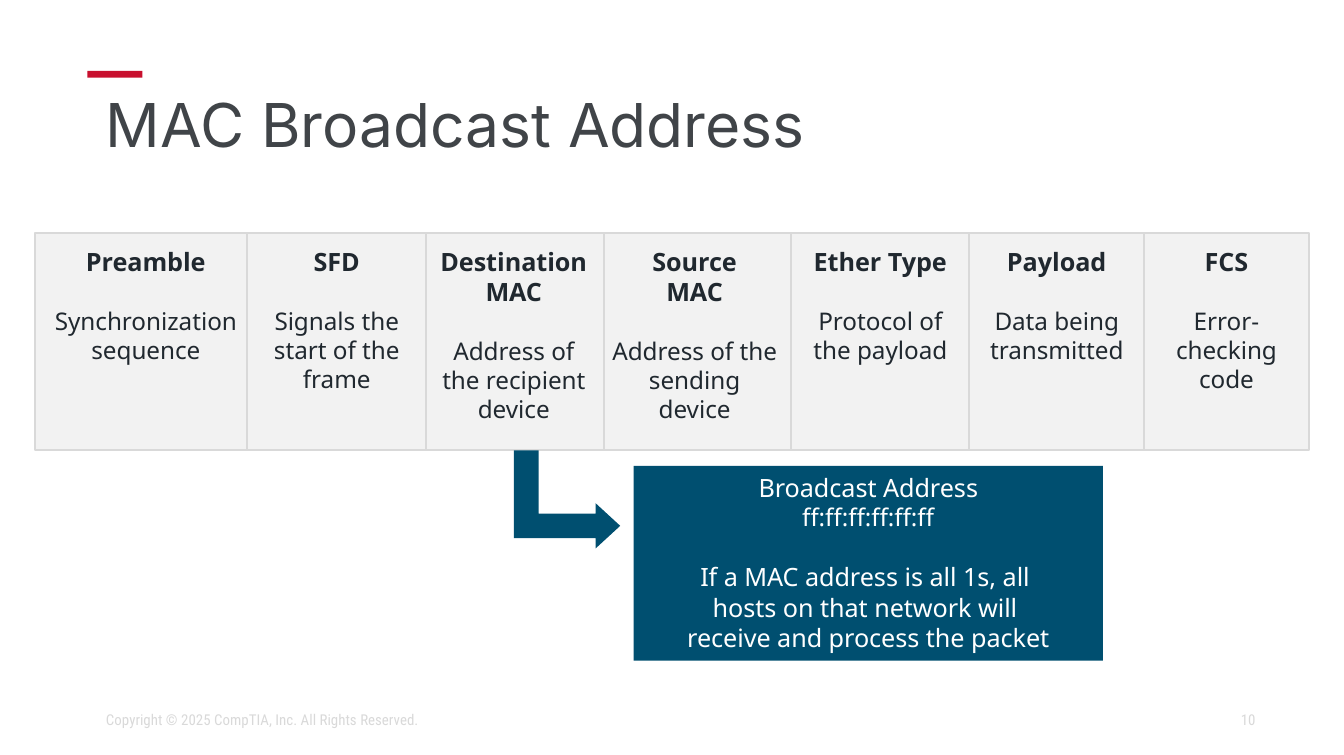
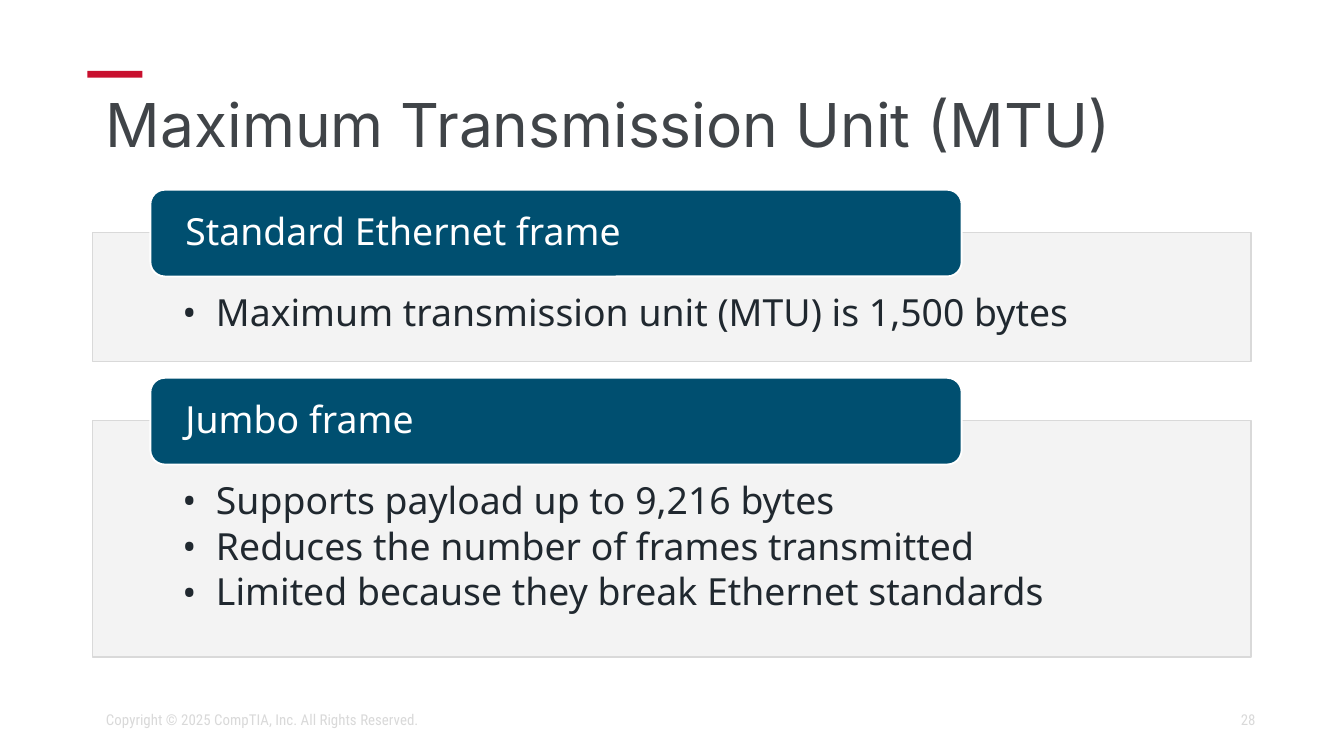
import pptx
import pptx.util
import pptx.dml.color
import pptx.enum.shapes
import pptx.enum.text
from dataclasses import dataclass
from lxml import etree

Pt = pptx.util.Pt
SHAPE = pptx.enum.shapes.MSO_SHAPE
ALIGN = pptx.enum.text.PP_ALIGN
ANCHOR = pptx.enum.text.MSO_ANCHOR


@dataclass(frozen=True)
class Theme:
    red: str = "C8102E"
    title: str = "404448"
    footer: str = "D9D9D9"
    border: str = "D9D9D9"
    panel: str = "F2F2F2"
    ink: str = "20282F"
    blue: str = "004F70"
    white: str = "FFFFFF"
    title_font: str = "Inter"
    body_font: str = "Noto Sans"
    footer_font: str = "Roboto Condensed"
    bullet_font: str = "Noto Sans"
    title_size: float = 32.4
    list_size: float = 20
    label_size: float = 13.5
    detail_size: float = 13
    footer_size: float = 8


THEME = Theme()
SLIDE_WIDTH, SLIDE_HEIGHT = 720, 404.64
COPYRIGHT = "Copyright © 2025 CompTIA, Inc. All Rights Reserved."
MARGIN, CONTENT_WIDTH = 49.7, 620.6
CONTENT_TOP = 124.7
FIELD_HEIGHT = 116.5
FRAME_GAP = 16

FRAME_FIELDS = [
    (18.7, 118.8, ["Preamble"], "Synchronization sequence"),
    (320.6, 103, ["Source", "MAC"], "Address of the sending device"),
    (227, 96.5, ["Destination MAC"], "Address of the recipient device"),
    (132.5, 95.8, ["SFD"], "Signals the start of the frame"),
    (423.7, 95.8, ["Ether Type"], "Protocol of the payload"),
    (519.3, 93.6, ["Payload"], "Data being transmitted"),
    (612.7, 88.6, ["FCS"], "Error-checking code"),
]
BROADCAST_LINES = [
    ("Broadcast Address", THEME.label_size, 0),
    ("ff:ff:ff:ff:ff:ff", THEME.detail_size, 0),
    ("If a MAC address is all 1s, all \nhosts on that network will \nreceive and process the packet",
     THEME.label_size, FRAME_GAP),
]
FRAME_TYPES = [
    ("Standard Ethernet frame", 69.1, ["Maximum transmission unit (MTU) is 1,500 bytes"]),
    ("Jumbo frame", 126.7, [
        "Supports payload up to 9,216 bytes",
        "Reduces the number of frames transmitted",
        "Limited because they break Ethernet standards",
    ]),
]
PANEL_GAP, TAB_RISE = 31.7, 23


def rgb(value):
    return pptx.dml.color.RGBColor.from_string(value)


def add_box(page, kind, place, fill, line=None, line_width=1):
    box = page.shapes.add_shape(kind, *map(Pt, place))
    box.shadow.inherit = False
    box.fill.solid()
    box.fill.fore_color.rgb = rgb(fill)
    if line:
        box.line.color.rgb = rgb(line)
        box.line.width = Pt(line_width)
    else:
        box.line.fill.background()
    return box


def set_frame(box, anchor, insets=(7.2, 3.6, 7.2, 3.6)):
    frame = box.text_frame
    frame.word_wrap = True
    frame.vertical_anchor = anchor
    frame.margin_left, frame.margin_top, frame.margin_right, frame.margin_bottom = map(Pt, insets)


def add_bullet(para):
    properties = para._p.get_or_add_pPr()
    properties.set("marL", str(Pt(18)))
    properties.set("indent", str(-Pt(18)))
    for tag, name, value in [("a:buFont", "typeface", THEME.bullet_font), ("a:buChar", "char", "•")]:
        etree.SubElement(properties, pptx.oxml.ns.qn(tag)).set(name, value)


def write(box, text, size, color, font=THEME.body_font, align=ALIGN.LEFT,
          spacing=1.0, before=0, after=0, bold=False, bullet=False):
    frame = box.text_frame
    para = frame.add_paragraph() if frame.text else frame.paragraphs[0]
    if bullet:
        add_bullet(para)
    para.text = text.replace("\n", "\v")
    para.alignment = align
    para.line_spacing = spacing
    para.space_before = Pt(before)
    para.space_after = Pt(after)
    para.font.size = Pt(size)
    para.font.name = font
    para.font.bold = bold
    para.font.color.rgb = rgb(color)


def add_text(page, place, text, size, color, font, align=ALIGN.LEFT, spacing=1.0):
    box = page.shapes.add_textbox(*map(Pt, place))
    set_frame(box, ANCHOR.MIDDLE)
    write(box, text, size, color, font, align, spacing)


def add_page(deck, title, number):
    page = deck.slides.add_slide(deck.slide_layouts[6])
    add_box(page, SHAPE.RECTANGLE, (46.8, 38, 29.5, 3.6), THEME.red)
    add_text(page, (MARGIN, 46, CONTENT_WIDTH, 45.4), title,
             THEME.title_size, THEME.title, THEME.title_font, spacing=0.9)
    for left, width, text, align in [
        (508.3, 171.4, str(number), ALIGN.RIGHT),
        (MARGIN, 310.3, COPYRIGHT, ALIGN.LEFT),
    ]:
        add_text(page, (left, 374.8, width, 21.6), text,
                 THEME.footer_size, THEME.footer, THEME.footer_font, align)
    return page


def build_broadcast(deck):
    page = add_page(deck, "MAC Broadcast Address", 10)
    for left, width, labels, detail in FRAME_FIELDS:
        field = add_box(page, SHAPE.RECTANGLE, (left, CONTENT_TOP, width, FIELD_HEIGHT),
                        THEME.panel, THEME.border)
        set_frame(field, ANCHOR.TOP, (7.2, 7.2, 7.2, 3.6))
        for label in labels:
            write(field, label, THEME.label_size, THEME.ink, align=ALIGN.CENTER, bold=True)
        write(field, detail, THEME.detail_size, THEME.ink, align=ALIGN.CENTER, before=FRAME_GAP)

    arrow = add_box(page, SHAPE.BENT_UP_ARROW, (277.5, 239.2, 52.6, 56.9), THEME.blue)
    arrow.rotation = 90
    arrow.adjustments[1] = 0.23

    callout = add_box(page, SHAPE.RECTANGLE, (339.5, 249.7, 251.3, 104.4), THEME.blue)
    set_frame(callout, ANCHOR.TOP)
    for text, size, before in BROADCAST_LINES:
        write(callout, text, size, THEME.white, align=ALIGN.CENTER, before=before)


def build_mtu(deck):
    page = add_page(deck, "Maximum Transmission Unit (MTU)", 28)
    top = CONTENT_TOP
    for heading, height, points in FRAME_TYPES:
        panel = add_box(page, SHAPE.RECTANGLE, (MARGIN, top, CONTENT_WIDTH, height),
                        THEME.panel, THEME.border, 0.75)
        color = panel.fill._xPr.find(".//" + pptx.oxml.ns.qn("a:srgbClr"))
        etree.SubElement(color, pptx.oxml.ns.qn("a:alpha")).set("val", "90000")
        set_frame(panel, ANCHOR.TOP, (48, 32.8, 48, 11.5))
        for point in points:
            write(panel, point, THEME.list_size, THEME.ink, spacing=0.9, after=3, bullet=True)

        tab = add_box(page, SHAPE.ROUNDED_RECTANGLE, (80.6, top - TAB_RISE, 434.6, 46.5),
                      THEME.blue, THEME.white)
        set_frame(tab, ANCHOR.MIDDLE, (16.5, 0, 16.5, 0))
        write(tab, heading, THEME.list_size, THEME.white, spacing=0.9)
        top += height + PANEL_GAP


def main():
    deck = pptx.Presentation()
    deck.slide_width = Pt(SLIDE_WIDTH)
    deck.slide_height = Pt(SLIDE_HEIGHT)
    build_broadcast(deck)
    build_mtu(deck)
    deck.save("out.pptx")


if __name__ == "__main__":
    main()
